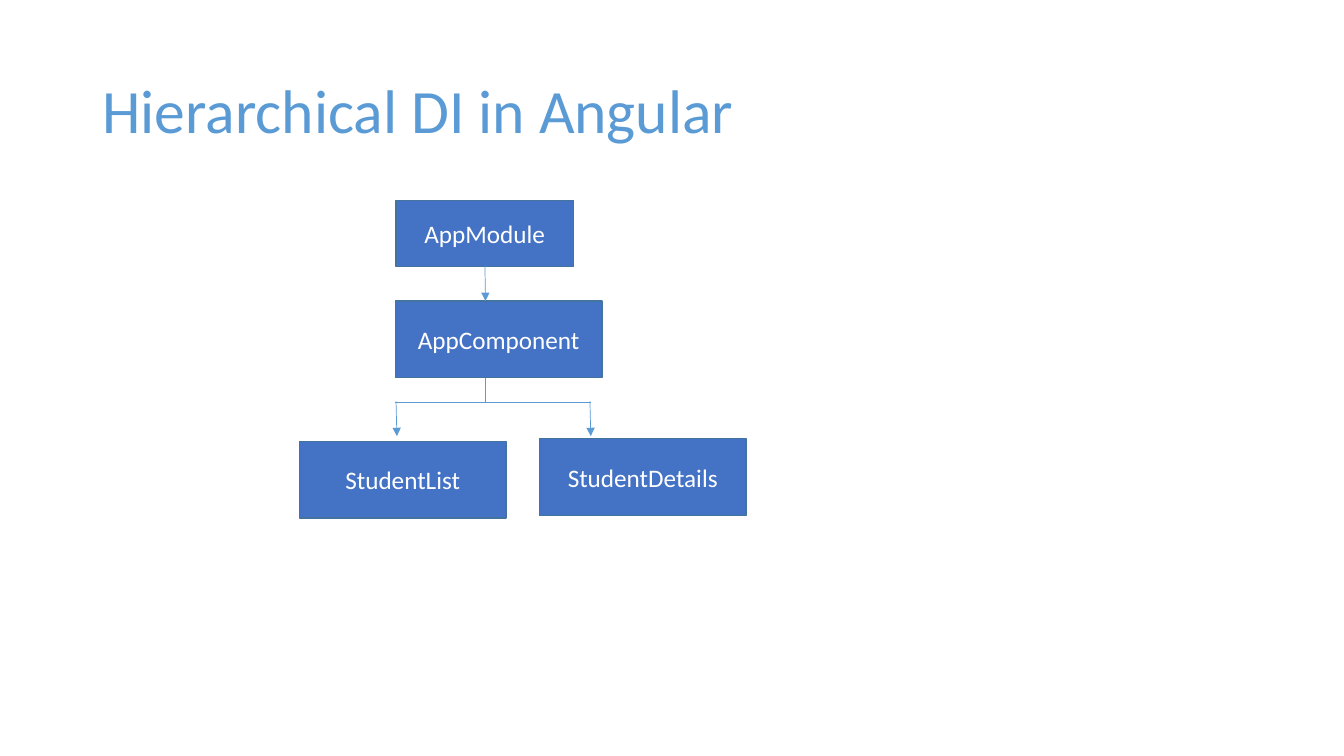
from lxml import etree
from pptx import Presentation
from pptx.dml.color import RGBColor
from pptx.enum.shapes import MSO_CONNECTOR, MSO_SHAPE
from pptx.enum.text import MSO_ANCHOR, MSO_AUTO_SIZE, PP_ALIGN
from pptx.oxml.ns import qn
from pptx.util import Pt

RECT = MSO_SHAPE.RECTANGLE
LINE = MSO_CONNECTOR.STRAIGHT
MIDDLE = MSO_ANCHOR.MIDDLE
FIXED = MSO_AUTO_SIZE.NONE
LEFT, CENTER = PP_ALIGN.LEFT, PP_ALIGN.CENTER
FONT = "Calibri"
COLORS = {"title": "5B9BD5", "node": "4472C4", "edge": "43739E",
          "link": "5B9BD5", "label": "FFFFFF"}


def color(name):
    """Return the named colour."""
    return RGBColor.from_string(COLORS[name])


def write(shape, text, size=18, tint="label", align=CENTER, spacing=1.0):
    """Put formatted text in a shape."""
    frame = shape.text_frame
    frame.word_wrap = True
    frame.auto_size = FIXED
    frame.vertical_anchor = MIDDLE
    para = frame.paragraphs[0]
    para.alignment = align
    para.line_spacing = spacing
    run = para.add_run()
    run.text = text
    run.font.name = FONT
    run.font.size = Pt(size)
    run.font.color.rgb = color(tint)


def add_node(slide, text, x, y, width, height):
    """Draw one labelled box of the tree."""
    node = slide.shapes.add_shape(RECT, Pt(x), Pt(y), Pt(width), Pt(height))
    node.shadow.inherit = False
    node.fill.solid()
    node.fill.fore_color.rgb = color("node")
    node.line.color.rgb = color("edge")
    node.line.width = Pt(1)
    write(node, text)


def add_link(slide, x1, y1, x2, y2, arrow=False):
    """Draw one line of the tree, with or without an arrowhead."""
    link = slide.shapes.add_connector(LINE, Pt(x1), Pt(y1), Pt(x2), Pt(y2))
    link.line.color.rgb = color("link")
    link.line.width = Pt(0.5)
    if arrow:
        etree.SubElement(link.line._get_or_add_ln(), qn("a:tailEnd"), type="triangle")
    etree.SubElement(link._element.spPr, qn("a:effectLst"))


def add_title(slide, text, x, y, width, height):
    """Place and fill the title."""
    title = slide.shapes.title
    title.left, title.top = Pt(x), Pt(y)
    title.width, title.height = Pt(width), Pt(height)
    write(title, text, size=44, tint="title", align=LEFT, spacing=0.9)


def add_tree(slide, x, y, width):
    """Draw the injector tree in a box of the given width."""
    wide, high = 147.6, 54.7
    stem, bar = x + 132.5, y + 144.5
    left, right = x + 69, x + 207.5
    nodes = [("AppModule", 69, 0, 126.7, 47.2),
             ("AppComponent", 68.5, 72, wide, high),
             ("StudentList", 0, 172.3, wide, high),
             ("StudentDetails", width - wide, 170.4, wide, high)]
    for text, dx, dy, w, h in nodes:
        add_node(slide, text, x + dx, y + dy, w, h)
    add_link(slide, stem, y + 47.2, stem + 0.4, y + 72, arrow=True)
    add_link(slide, stem + 0.4, y + 126.7, stem + 0.4, bar)
    add_link(slide, left - 0.5, bar, right + 1, bar)
    for end in (left, right):
        add_link(slide, end, bar - 0.7, end + 0.6, bar + 24, arrow=True)


def main():
    """Build and save the slide."""
    deck = Presentation()
    deck.slide_width, deck.slide_height = Pt(960), Pt(540)
    slide = deck.slides.add_slide(deck.slide_layouts[5])
    add_title(slide, "Hierarchical DI in Angular", 66, 28.75, 828, 104.4)
    add_tree(slide, 213.9, 143, 319)
    deck.save("out.pptx")


main()
